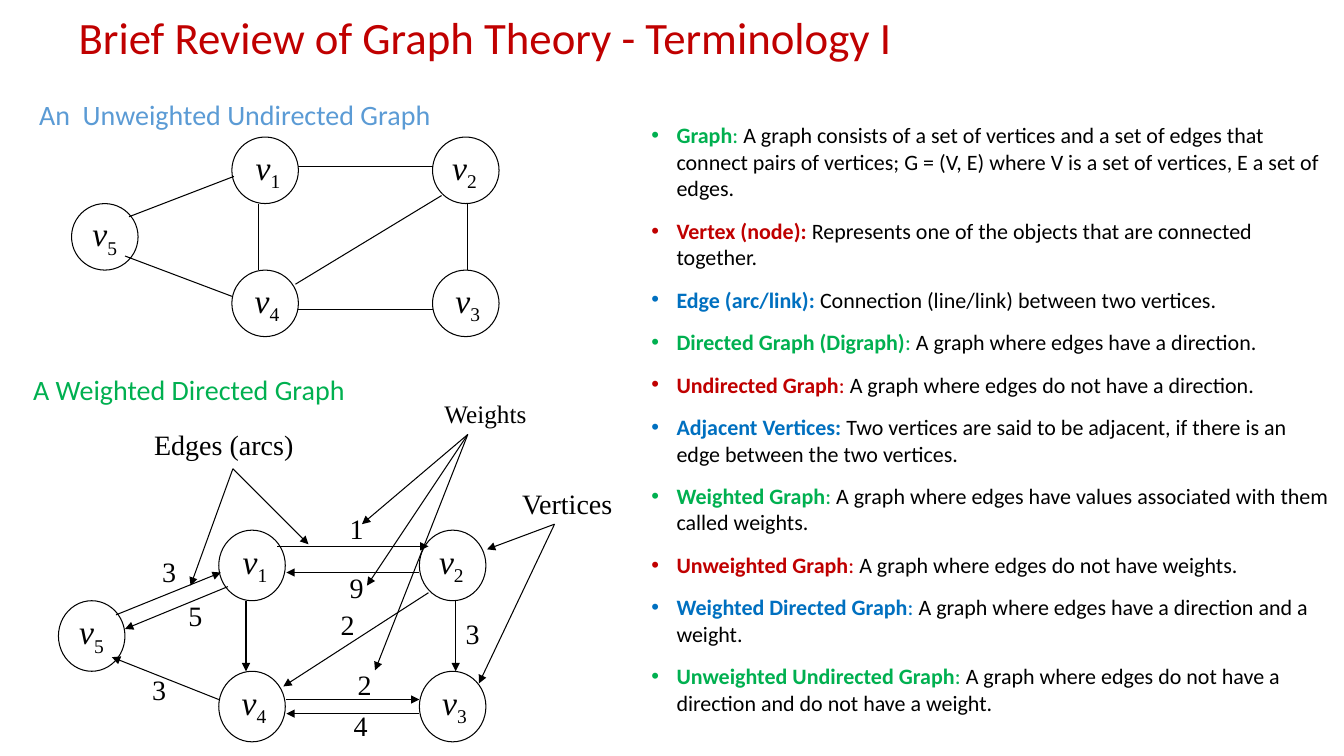
"""Build a slide that reviews the terminology of graph theory."""
from dataclasses import dataclass
from itertools import cycle
from typing import Any, NamedTuple

from lxml import etree
from pptx import Presentation
from pptx import util as u
from pptx.dml.color import RGBColor
from pptx.enum import shapes, text
from pptx.oxml import ns


@dataclass(frozen=True)
class Theme:
    """Colours, fonts and type sizes of the slide."""
    black: str = "000000"
    white: str = "FFFFFF"
    red: str = "C00000"
    green: str = "00B050"
    blue: str = "0070C0"
    sky: str = "5B9BD5"
    sans: str = "Calibri"
    serif: str = "Times New Roman"
    title: float = 32
    vertex: float = 24
    label: float = 20
    small: float = 18
    body: float = 15.7
    line: float = 0.75


class Vertex(NamedTuple):
    """A numbered vertex, its column and row in the graph, and its left inset."""
    number: str
    column: int
    row: int
    inset: float


class Graph(NamedTuple):
    """Where a graph starts, how tall its vertices are, and its edges."""
    left: float
    top: float
    height: float
    directed: bool
    edges: list[tuple[float, float, float, float]]


class Label(NamedTuple):
    """A short text and its place."""
    wording: str
    left: float
    top: float
    width: float
    height: float
    size: float
    font: str
    colour: str


class Term(NamedTuple):
    """A bold term, its plain separator and its definition."""
    name: str
    separator: str
    definition: str


THEME = Theme()
COLUMNS = (0, 1.59, 3.58)
VERTEX_WIDTH = 0.66
VERTICES = [Vertex("1", 1, 0, 0.14), Vertex("2", 2, 0, 0.1), Vertex("4", 1, 2, 0.13),
            Vertex("3", 2, 2, 0.13), Vertex("5", 0, 1, 0.11)]
UNDIRECTED = Graph(0.71, 1.36, 0.66, False, [
    (1.28, 2.15, 2.32, 1.75), (2.93, 2.82, 4.38, 1.94), (2.56, 2.02, 2.56, 2.68),
    (4.64, 2.02, 4.64, 2.68), (2.96, 3.07, 4.29, 3.07), (2.96, 1.65, 4.29, 1.65),
    (1.24, 2.54, 2.3, 2.94)])
DIRECTED = Graph(0.58, 5.26, 0.7, True, [
    (1.15, 6.1, 2.19, 5.68), (2.26, 5.82, 1.24, 6.24), (4.25, 5.88, 2.81, 6.81),
    (2.75, 5.42, 4.25, 5.42), (2.84, 6.94, 4.16, 6.94), (2.44, 5.96, 2.44, 6.66),
    (4.52, 5.96, 4.52, 6.66), (4.16, 7.08, 2.84, 7.08), (4.16, 5.68, 2.84, 5.68),
    (2.17, 6.94, 1.11, 6.52)])
POINTERS = {
    (5.5, 5.2): [(4.83, 5.45), (4.75, 6.78)],
    (2.31, 4.65): [(1.89, 5.81), (3.06, 5.4)],
    (4.64, 4.31): [(3.59, 5.2), (3.72, 6.65), (3.64, 5.81)],
}
WEIGHTS = [("3", 1.51, 5.45), ("4", 3.41, 6.98), ("3", 1.41, 6.62), ("2", 3.45, 6.57),
           ("5", 1.77, 5.89), ("2", 3.28, 5.98), ("9", 3.37, 5.61), ("1", 3.37, 5.03),
           ("3", 4.52, 6.07)]
LABELS = [
    Label("An  Unweighted Undirected Graph", 0.29, 0.92, 4.14, 0.45,
          THEME.label, THEME.sans, THEME.sky),
    Label("A Weighted Directed Graph", 0.23, 3.65, 3.33, 0.44,
          THEME.label, THEME.sans, THEME.green),
    Label("Vertices", 5.08, 4.78, 1.1, 0.44, THEME.label, THEME.serif, THEME.black),
    Label("Edges (arcs)", 1.43, 4.19, 1.59, 0.44, THEME.label, THEME.serif, THEME.black),
    Label("Weights", 4.31, 3.9, 1.02, 0.4, THEME.small, THEME.serif, THEME.black),
    *(Label(weight, left, top, 0.4, 0.48, THEME.label, THEME.serif, THEME.black)
      for weight, left, top in WEIGHTS),
]
TERMS = [
    Term("Graph", ": ", "A graph consists of a set of vertices and a set of edges that connect "
         "pairs of vertices; G = (V, E) where V is a set of vertices, E a set of edges."),
    Term("Vertex (node): ", "", "Represents one of the objects that are connected together."),
    Term("Edge (arc/link): ", "", "Connection (line/link) between two vertices."),
    Term("Directed Graph (Digraph)", ": ", "A graph where edges have a direction."),
    Term("Undirected Graph", ": ", "A graph where edges do not have a direction."),
    Term("Adjacent Vertices: ", "", "Two vertices are said to be adjacent, if there is an edge "
         "between the two vertices."),
    Term("Weighted Graph", ": ", "A graph where edges have values associated with them called "
         "weights."),
    Term("Unweighted Graph", ": ", "A graph where edges do not have weights."),
    Term("Weighted Directed Graph", ": ", "A graph where edges have a direction and a weight."),
    Term("Unweighted Undirected Graph", ": ", "A graph where edges do not have a direction and "
         "do not have a weight."),
]


def apply_format(target: Any, values: dict[str, Any]) -> None:
    """Set each named attribute of the target."""
    for attribute, value in values.items():
        setattr(target, attribute, value)


def place(part: Any, left: float, top: float, width: float, height: float) -> None:
    """Move and size a part, in inches."""
    apply_format(part, {"left": u.Inches(left), "top": u.Inches(top),
                        "width": u.Inches(width), "height": u.Inches(height)})


def add_words(paragraph: Any, words: str, size: float, font: str, colour: str,
              **extra: Any) -> Any:
    """Append a formatted run."""
    run = paragraph.add_run()
    run.text = words
    apply_format(run.font, {"size": u.Pt(size), "name": font, **extra})
    run.font.color.rgb = RGBColor.from_string(colour)
    return run


def draw_edge(slide: Any, ends: tuple[float, float, float, float], directed: bool) -> None:
    """Draw a thin line, with an arrowhead at its end if directed."""
    edge = slide.shapes.add_connector(shapes.MSO_CONNECTOR.STRAIGHT, *map(u.Inches, ends))
    edge.line.width = u.Pt(THEME.line)
    edge.line.color.rgb = RGBColor.from_string(THEME.black)
    if directed:
        etree.SubElement(edge.line._get_or_add_ln(), ns.qn("a:tailEnd"), type="triangle")
    etree.SubElement(edge._element.spPr, ns.qn("a:effectLst"))


def draw_vertex(slide: Any, graph: Graph, vertex: Vertex) -> None:
    """Draw a circled vertex name with its subscript."""
    circle = slide.shapes.add_shape(shapes.MSO_SHAPE.OVAL, 0, 0, 0, 0)
    place(circle, graph.left + COLUMNS[vertex.column], graph.top + vertex.row * graph.height,
          VERTEX_WIDTH, graph.height)
    circle.shadow.inherit = False
    circle.fill.solid()
    circle.fill.fore_color.rgb = RGBColor.from_string(THEME.white)
    circle.line.color.rgb = RGBColor.from_string(THEME.black)
    circle.line.width = u.Pt(THEME.line)
    apply_format(circle.text_frame, {
        "margin_left": u.Inches(vertex.inset), "margin_top": 0, "margin_right": 0,
        "margin_bottom": u.Inches(0.05), "vertical_anchor": text.MSO_ANCHOR.TOP})
    name = circle.text_frame.paragraphs[0]
    name.alignment = text.PP_ALIGN.LEFT
    add_words(name, "v", THEME.vertex, THEME.serif, THEME.black, italic=True)
    subscript = add_words(name, vertex.number, THEME.vertex, THEME.serif, THEME.black)
    subscript._r.get_or_add_rPr().set("baseline", "-25000")


def draw_graph(slide: Any, graph: Graph) -> None:
    """Draw the vertices and edges of a graph."""
    for vertex in VERTICES:
        draw_vertex(slide, graph, vertex)
    for ends in graph.edges:
        draw_edge(slide, ends, graph.directed)


def draw_label(slide: Any, label: Label) -> None:
    """Write a label on the diagram."""
    box = slide.shapes.add_textbox(*map(u.Inches, label[1:5]))
    box.text_frame.word_wrap = True
    add_words(box.text_frame.paragraphs[0], label.wording, label.size, label.font, label.colour)


def write_title(title: Any) -> None:
    """Fill the title placeholder."""
    place(title, 0.68, 0.05, 10.62, 0.7)
    apply_format(title.text_frame, {"vertical_anchor": text.MSO_ANCHOR.MIDDLE,
                                    "auto_size": text.MSO_AUTO_SIZE.NONE})
    heading = title.text_frame.paragraphs[0]
    apply_format(heading, {"alignment": text.PP_ALIGN.LEFT, "line_spacing": 0.9})
    add_words(heading, "Brief Review of Graph Theory - Terminology I",
              THEME.title, THEME.sans, THEME.red)


def write_terms(glossary: Any) -> None:
    """Fill the body placeholder with the bulleted terms."""
    place(glossary, 6.36, 1.16, 6.97, 6.26)
    frame = glossary.text_frame
    frame.auto_size = text.MSO_AUTO_SIZE.NONE
    for index, (term, colour) in enumerate(zip(TERMS, cycle((THEME.green, THEME.red, THEME.blue)))):
        entry = frame.add_paragraph() if index else frame.paragraphs[0]
        apply_format(entry, {"space_before": u.Pt(11.5), "line_spacing": 1.0})
        properties = entry._p.get_or_add_pPr()
        properties.set("marL", str(u.Inches(0.25)))
        properties.set("indent", str(u.Inches(-0.25)))
        etree.SubElement(properties, ns.qn("a:buChar"), char="•")
        add_words(entry, term.name, THEME.body, THEME.sans, colour, bold=True)
        if term.separator:
            add_words(entry, term.separator, THEME.body, THEME.sans, colour)
        add_words(entry, term.definition, THEME.body, THEME.sans, THEME.black)


def main() -> None:
    """Build and save the slide."""
    deck = Presentation()
    apply_format(deck, {"slide_width": u.Inches(13.33), "slide_height": u.Inches(7.5)})
    slide = deck.slides.add_slide(deck.slide_layouts[1])
    write_title(slide.shapes.title)
    write_terms(slide.placeholders[1])
    for graph in (UNDIRECTED, DIRECTED):
        draw_graph(slide, graph)
    for start, targets in POINTERS.items():
        for target in targets:
            draw_edge(slide, start + target, True)
    for label in LABELS:
        draw_label(slide, label)
    deck.save("out.pptx")


if __name__ == "__main__":
    main()
